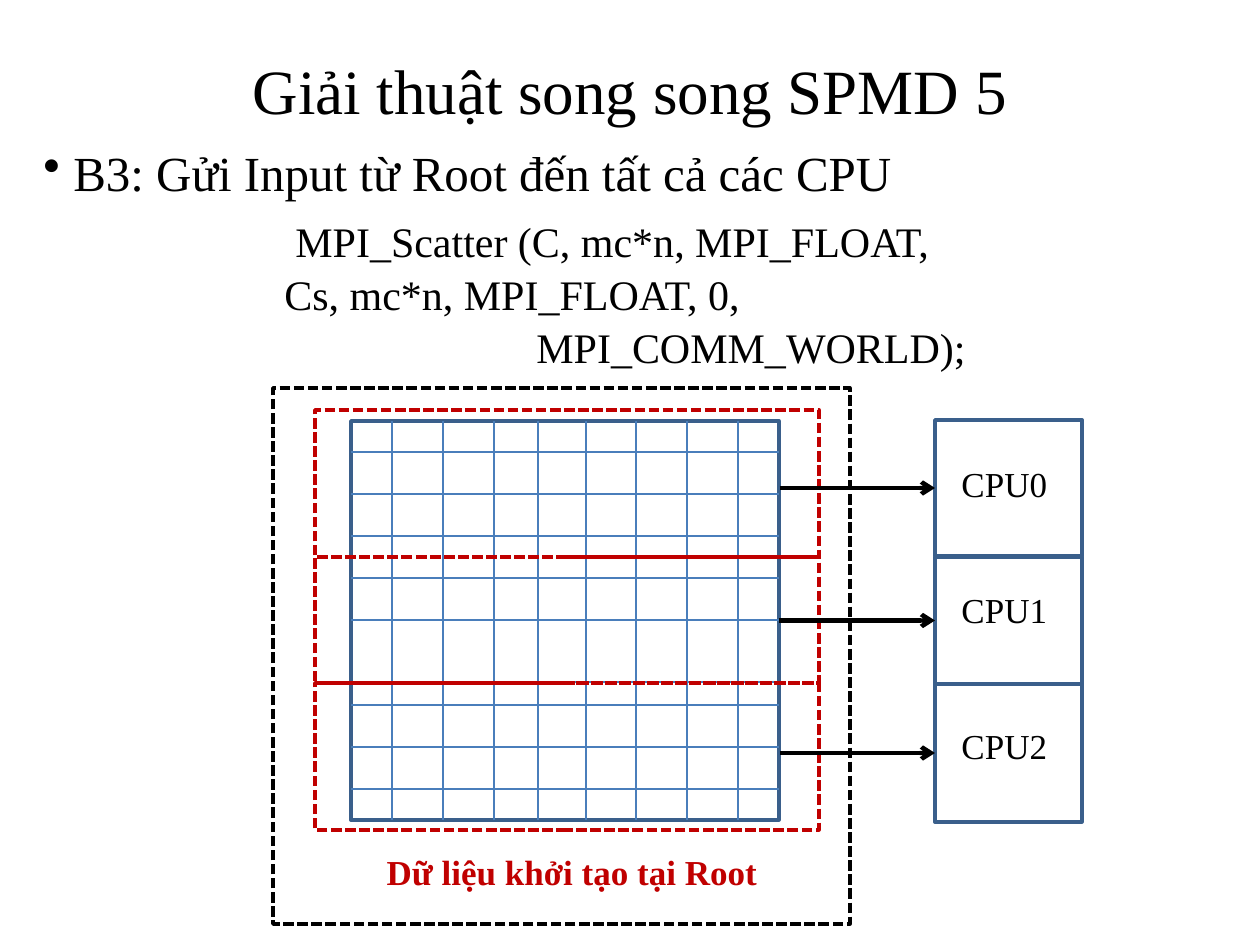
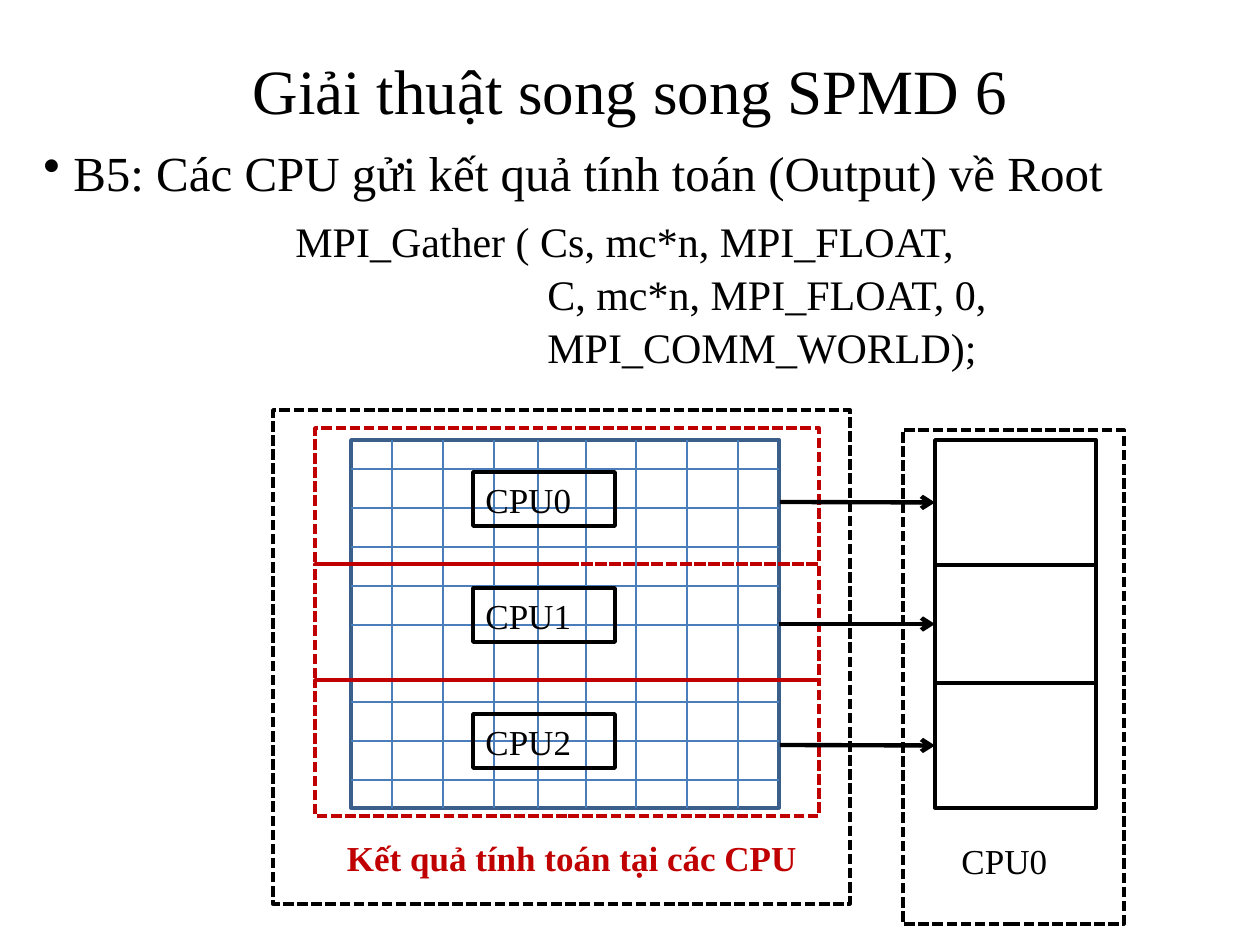
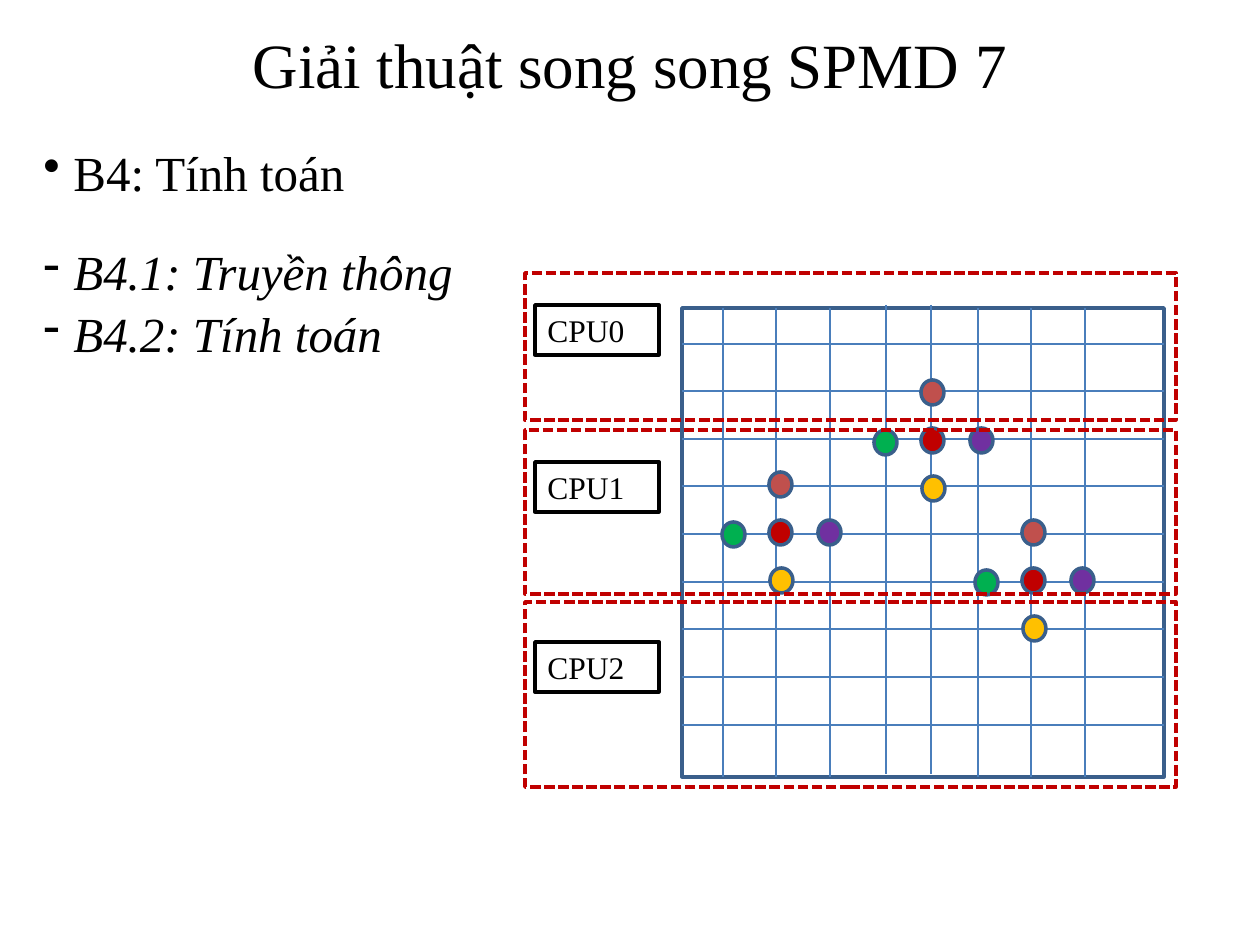
from lxml import etree
from pptx import Presentation
from pptx.dml.color import RGBColor
from pptx.enum import dml, shapes, text
from pptx.oxml.ns import qn
from pptx.util import Emu, Pt

PX = 914400 / 126
FONT = "Times New Roman"
COLORS = {
    "ink": "000000", "edge": "3A5F8B", "grid": "4A7EBB", "red": "C00000",
    "rose": "C0504D", "violet": "7030A0", "amber": "FFC000", "green": "00B050",
}
CPUS = ["CPU0", "CPU1", "CPU2"]
COLUMNS = [392, 443, 494, 538, 586, 636, 687, 738]
STENCIL = [("rose", 0, -48), ("violet", 49, 0), ("amber", 1, 48),
           ("green", -47, 2), ("red", 0, 0)]


def px(*lengths):
    return [Emu(round(length * PX)) for length in lengths]


def color(name):
    return RGBColor.from_string(COLORS[name])


class Deck:
    """Holds the presentation, its style and the current slide."""

    def __init__(self):
        self.file = Presentation()
        self.file.slide_width, self.file.slide_height = px(1260, 945)

    def new_slide(self, title, title_height=136):
        self.slide = self.file.slides.add_slide(self.file.slide_layouts[6])
        frame = self.text_frame((63, 21, 1134, title_height))
        frame.vertical_anchor = text.MSO_ANCHOR.MIDDLE
        self.set_text(frame.paragraphs[0], title, 36, align=text.PP_ALIGN.CENTER)

    def text_frame(self, box):
        frame = self.slide.shapes.add_textbox(*px(*box)).text_frame
        frame.word_wrap = True
        return frame

    def set_text(self, paragraph, words, size, ink="ink", bold=None, italic=None,
                 align=text.PP_ALIGN.LEFT, before=0, bullet=None, indent=0):
        paragraph.text = words
        paragraph.alignment = align
        paragraph.space_before = Pt(before)
        font = paragraph.font
        font.name, font.size, font.bold, font.italic = FONT, Pt(size), bold, italic
        font.color.rgb = color(ink)
        properties = paragraph._p.get_or_add_pPr()
        margin, = px(indent)
        properties.set("marL", str(margin))
        properties.set("indent", str(-margin if bullet else 0))
        mark = etree.Element(qn("a:buChar" if bullet else "a:buNone"))
        if bullet:
            mark.set("char", bullet)
        properties.find(qn("a:defRPr")).addprevious(mark)

    def body(self, box, lines):
        frame = self.text_frame(box)
        for i, (words, style) in enumerate(lines):
            paragraph = frame.add_paragraph() if i else frame.paragraphs[0]
            self.set_text(paragraph, words, **style)

    def label(self, words, box, size=20, **style):
        self.set_text(self.text_frame(box).paragraphs[0], words, size, **style)

    def shape(self, box, line="edge", fill=None, dashed=False, kind="RECTANGLE"):
        shape = self.slide.shapes.add_shape(shapes.MSO_SHAPE[kind], *px(*box))
        shape.shadow.inherit = False
        if fill:
            shape.fill.solid()
            shape.fill.fore_color.rgb = color(fill)
        else:
            shape.fill.background()
        shape.line.color.rgb = color(line)
        shape.line.width = Pt(2)
        if dashed:
            shape.line.dash_style = dml.MSO_LINE.SQUARE_DOT
        return shape

    def tag(self, words, box, size=20):
        frame = self.shape(box, "ink").text_frame
        frame.vertical_anchor = text.MSO_ANCHOR.TOP
        self.set_text(frame.paragraphs[0], words, size)

    def line(self, x1, y1, x2, y2, ink="grid", width=0.75):
        line = self.slide.shapes.add_connector(
            shapes.MSO_CONNECTOR.STRAIGHT, *px(x1, y1, x2, y2))
        line.line.color.rgb = color(ink)
        line.line.width = Pt(width)
        etree.SubElement(line._element.spPr, qn("a:effectLst"))
        return line

    def arrow(self, x, y, target, source=None):
        arrow = self.line(x, y, x + 151, y, "ink", 2.5)
        outline = arrow._element.spPr.find(qn("a:ln"))
        etree.SubElement(outline, qn("a:tailEnd"), type="arrow")
        if source is not None:
            arrow.begin_connect(source, 3)
        arrow.end_connect(target, 1)

    def grid(self, box, columns, rows):
        left, top, width, height = box
        outline = self.shape(box)
        for y in rows:
            self.line(left, y, left + width, y)
        for x in columns:
            self.line(x, top, x, top + height)
        return outline

    def exchange(self, matrix, rows, bands, frame, caption, caption_top, cells,
                 cell_width, cell_line):
        data = self.grid(matrix, COLUMNS, rows)
        for top, height in bands:
            self.shape((315, top, 504, height), "red", dashed=True)
        self.shape(frame, "ink", dashed=True)
        self.label(caption, (315, caption_top, 514, 54), ink="red", bold=True,
                   align=text.PP_ALIGN.CENTER)
        for i, (top, height) in enumerate(cells):
            cell = self.shape((935, top, cell_width, height), cell_line)
            self.arrow(780, top + height // 2, cell, data if i == 1 else None)

    def stencil(self, x, y):
        for fill, dx, dy in STENCIL:
            self.shape((x + dx, y + dy, 23, 25), fill=fill, kind="OVAL")


def heading(words):
    return words, dict(size=28, bullet="•", indent=30)


def code(words, indent, before):
    return words, dict(size=24, indent=indent, before=before)


def step(words, before):
    return words, dict(size=28, bullet="-", indent=30, italic=True, before=before)


def scatter_slide(deck):
    deck.new_slide("Giải thuật song song SPMD 5")
    deck.body((31, 136, 1207, 809), [
        heading("B3: Gửi Input từ Root đến tất cả các CPU"),
        code("MPI_Scatter (C, mc*n, MPI_FLOAT,", 252, 8),
        code("Cs, mc*n, MPI_FLOAT, 0,", 241, 2),
        code("MPI_COMM_WORLD);", 493, 1),
    ])
    deck.exchange(
        matrix=(351, 421, 428, 399),
        rows=[*range(452, 622, 42), 682, *range(705, 790, 42)],
        bands=[(410, 147), (557, 126), (683, 147)],
        frame=(273, 388, 577, 536),
        caption="Dữ liệu khởi tạo tại Root", caption_top=844,
        cells=[(420, 136), (557, 127), (684, 138)],
        cell_width=147, cell_line="edge")
    for cpu, top in zip(CPUS, [456, 582, 718]):
        deck.label(cpu, (949, top, 142, 54))


def gather_slide(deck):
    deck.new_slide("Giải thuật song song SPMD 6")
    deck.body((31, 136, 1207, 724), [
        heading("B5: Các CPU gửi kết quả tính toán (Output) về Root"),
        code("MPI_Gather ( Cs, mc*n, MPI_FLOAT,", 252, 8),
        code("C, mc*n, MPI_FLOAT, 0,", 504, 2),
        code("MPI_COMM_WORLD);", 504, 1),
    ])
    deck.exchange(
        matrix=(351, 440, 428, 368),
        rows=[*range(469, 626, 39), 680, *range(702, 781, 39)],
        bands=[(428, 136), (564, 116), (680, 136)],
        frame=(273, 410, 577, 494),
        caption="Kết quả tính toán tại các CPU", caption_top=830,
        cells=[(440, 125), (565, 118), (683, 125)],
        cell_width=161, cell_line="ink")
    for cpu, top in zip(CPUS, [472, 588, 714]):
        deck.tag(cpu, (473, top, 142, 54))
    deck.shape((903, 430, 221, 494), "ink", dashed=True)
    deck.label("CPU0", (949, 833, 142, 54))


def compute_slide(deck):
    deck.new_slide("Giải thuật song song SPMD 7", 84)
    deck.body((31, 136, 483, 735), [
        heading("B4: Tính toán"),
        step("B4.1: Truyền thông", 23),
        step("B4.2: Tính toán", 2),
    ])
    deck.grid((682, 308, 482, 469), [723, 776, 830, 978, 1031, 1085],
              [344 + 381 * i // 8 for i in range(9)])
    for x in (886, 931):
        deck.line(x, 305, x, 774)
    for center in [(769, 520), (921, 428), (1022, 568)]:
        deck.stencil(*center)
    bands = [(273, 147, 305), (430, 164, 462), (602, 185, 642)]
    for cpu, (top, height, tag_top) in zip(CPUS, bands):
        deck.shape((525, top, 651, height), "red", dashed=True)
        deck.tag(cpu, (535, tag_top, 124, 50), 18)


def main():
    deck = Deck()
    scatter_slide(deck)
    gather_slide(deck)
    compute_slide(deck)
    deck.file.save("out.pptx")


if __name__ == "__main__":
    main()
